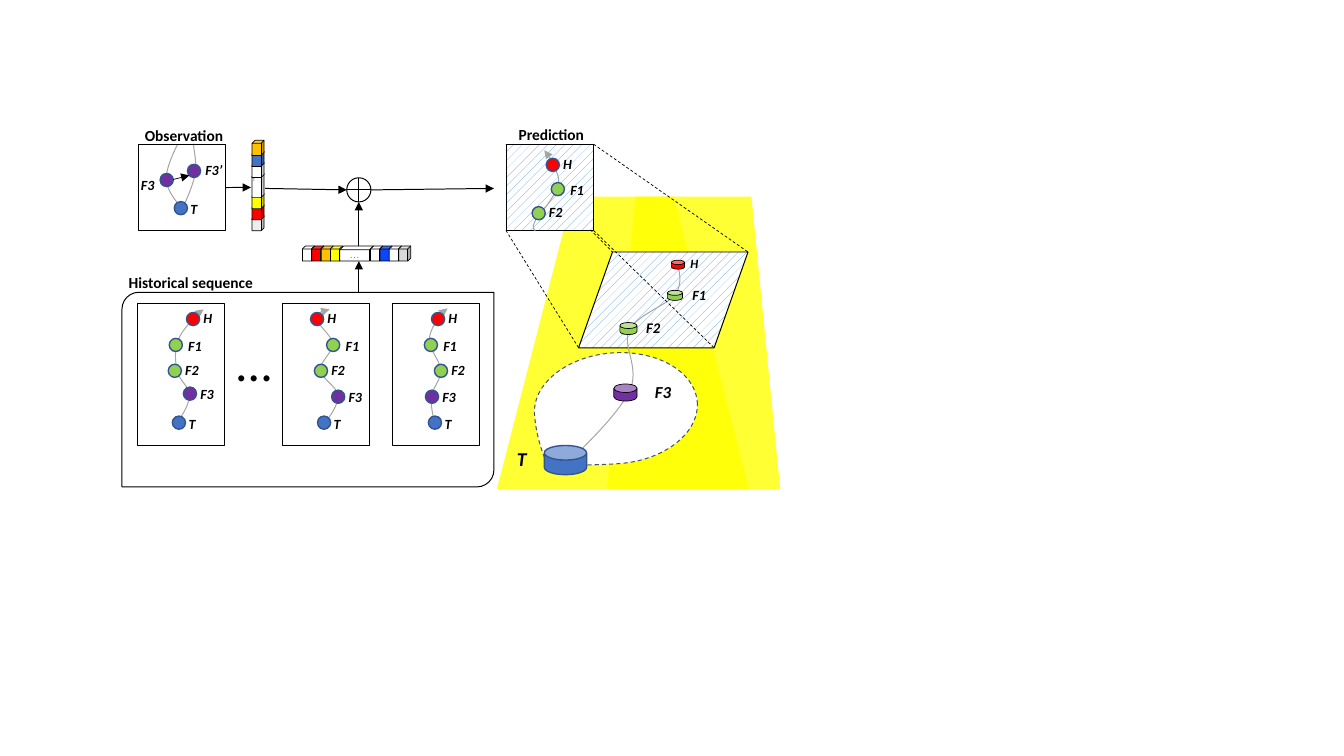
from dataclasses import dataclass
from typing import NamedTuple

from lxml.etree import SubElement
from pptx import Presentation
from pptx.dml.color import RGBColor
from pptx.enum.dml import MSO_LINE, MSO_PATTERN
from pptx.enum.shapes import MSO_CONNECTOR, MSO_SHAPE as Preset
from pptx.enum.text import MSO_ANCHOR, MSO_AUTO_SIZE, PP_ALIGN
from pptx.oxml.ns import qn
from pptx.util import Pt


@dataclass(frozen=True)
class Theme:
    font: str = "Calibri"
    black: str = "000000"
    white: str = "FFFFFF"
    gray: str = "A5A5A5"
    hatch: str = "5B9BD5"
    road: str = "FFFF00"
    slate: str = "44546A"
    node_line: str = "325491"
    blue: str = "4472C4"
    purple: str = "7030A0"
    green: str = "92D050"
    red: str = "FF0000"
    amber: str = "FFC000"
    label: float = 10
    title: float = 11
    ellipsis: float = 36
    cell: float = 5
    thin: float = 0.5
    line: float = 0.7


class Box(NamedTuple):
    left: float
    top: float
    width: float
    height: float

    def inner(self, x, y, width, height):
        return Box(self.left + x, self.top + y, width, height)

    def point(self, x, y):
        return self.left + x, self.top + y


THEME = Theme()
NODE = 9.4
NODE_COLORS = {"H": THEME.red, "F1": THEME.green, "F2": THEME.green,
               "F3": THEME.purple, "F3’": THEME.purple, "T": THEME.blue}
LABEL_OFFSETS = {"H": (5, -5.8), "F1": (6.5, -4.3), "F2": (5, -5.8),
                 "F3": (5, -5), "F3’": (5.7, -5.8), "T": (4.5, -4)}
LABEL_WIDTHS = {"H": 20.9, "T": 19.4, "F3’": 26.6}


def rgb(color):
    return RGBColor.from_string(color)


def style_line(shape, color, width, dashed=False, arrow=False):
    shape.line.color.rgb = rgb(color)
    shape.line.width = Pt(width)
    if dashed:
        shape.line.dash_style = MSO_LINE.DASH
    if arrow:
        outline = shape._element.spPr.find(qn("a:ln"))
        SubElement(outline, qn("a:tailEnd"), type="triangle")


def add_preset(shapes, preset, box, fill=None, line=None, width=THEME.thin,
               adjustments=(), dashed=False):
    shape = shapes.add_shape(preset, *map(Pt, box))
    shape.shadow.inherit = False
    for index, value in enumerate(adjustments):
        shape.adjustments[index] = value
    if fill:
        shape.fill.solid()
        shape.fill.fore_color.rgb = rgb(fill)
    else:
        shape.fill.background()
    if line:
        style_line(shape, line, width, dashed)
    else:
        shape.line.fill.background()
    return shape


def hatch(shape):
    shape.fill.patterned()
    shape.fill.pattern = MSO_PATTERN.DASHED_UPWARD_DIAGONAL
    shape.fill.fore_color.rgb = rgb(THEME.hatch)
    shape.fill.back_color.rgb = rgb(THEME.white)


def add_line(shapes, start, end, width=THEME.line, dashed=False, arrow=False):
    connector = shapes.add_connector(MSO_CONNECTOR.STRAIGHT, *map(Pt, start + end))
    style_line(connector, THEME.black, width, dashed, arrow)
    SubElement(connector._element.spPr, qn("a:effectLst"))
    return connector


def add_curve(shapes, box, points, arrow=False):
    start, *rest = [tuple(map(Pt, box.point(*point))) for point in points]
    builder = shapes.build_freeform(*start)
    builder.add_line_segments(rest, close=False)
    curve = builder.convert_to_shape()
    curve.shadow.inherit = False
    curve.fill.background()
    style_line(curve, THEME.gray, THEME.line, arrow=arrow)
    segments = list(curve._element.iter(qn("a:lnTo")))
    outline = segments[0].getparent()
    for index in range(0, len(segments), 3):
        bezier = SubElement(outline, qn("a:cubicBezTo"))
        for segment in segments[index:index + 3]:
            bezier.append(segment[0])
            outline.remove(segment)


def set_text(shape, text, size, bold=False, italic=False, align=PP_ALIGN.CENTER):
    paragraph = shape.text_frame.paragraphs[0]
    paragraph.text = text
    paragraph.alignment = align
    font = paragraph.font
    font.name, font.size, font.bold, font.italic = THEME.font, Pt(size), bold, italic
    font.color.rgb = rgb(THEME.black)


def add_text(shapes, box, text, size, **style):
    label = shapes.add_textbox(*map(Pt, box))
    label.text_frame.word_wrap = False
    label.text_frame.auto_size = MSO_AUTO_SIZE.SHAPE_TO_FIT_TEXT
    set_text(label, text, size, **style)


def add_label(shapes, box, text, size=THEME.label):
    add_text(shapes, box, text, size, bold=True, italic=True, align=PP_ALIGN.LEFT)


def add_node(shapes, box, name, x, y, label_offset=None):
    add_preset(shapes, Preset.FLOWCHART_CONNECTOR, box.inner(x, y, NODE, NODE),
               NODE_COLORS[name], THEME.node_line, 1)
    dx, dy = label_offset or LABEL_OFFSETS[name]
    add_label(shapes, box.inner(x + dx, y + dy, LABEL_WIDTHS.get(name, 24.5), 19.4), name)


def draw_road(shapes, box):
    for x, width, slope in ((78.5, 123.8, 0.166), (0, 180, 0.299)):
        road = add_preset(shapes, Preset.TRAPEZOID, box.inner(x, 0, width, box.height),
                          THEME.road, adjustments=[slope])
        color = next(road._element.spPr.iter(qn("a:srgbClr")))
        SubElement(color, qn("a:alpha"), val="80000")
    clearing = add_preset(shapes, Preset.TEAR, box.inner(26.6, 111.6, 116.6, 79.2),
                          THEME.white, THEME.slate, 0, [0.895], dashed=True)
    clearing.rotation = 175.6
    window = box.inner(58.3, 39.6, 121, 68.4)
    hatch(add_preset(shapes, Preset.FLOWCHART_DATA, window, line=THEME.black, width=THEME.line))
    add_curve(shapes, box, [
        (43.9, 196.6), (64.8, 176.4), (85.7, 156.2), (94.3, 139.7), (103, 123.1),
        (89.3, 107.3), (94.3, 95.8), (100.1, 84.2), (121.7, 77.8), (127.4, 69.8),
        (133.2, 61.9), (129.6, 53.3), (129.6, 48.2)])
    for name, can, label, size in (
            ("T", (33.8, 177.8, 30.2, 20.9), (7.2, 175, 21.6, 24.5), 14),
            ("F3", (83.5, 133.9, 16.6, 12.2), (105.8, 128.9, 25.9, 21.6), 12),
            ("F2", (87.8, 90, 12.2, 8.6), (99.4, 83.5, 25.2, 20.9), 10.5),
            ("F1", (121.7, 67, 10.8, 7.2), (132.5, 60.5, 24.5, 19.4), 10),
            ("H", (124.6, 45.4, 9.4, 6.5), (131, 38.9, 20.2, 18), 9)):
        line, width = (THEME.node_line, 1) if name == "T" else (THEME.black, THEME.thin)
        add_preset(shapes, Preset.CAN, box.inner(*can), NODE_COLORS[name], line, width, [0.5])
        add_label(shapes, box.inner(*label), name, size)
    return window


def draw_projection(shapes, source, target):
    slant = target.width / 5
    for x, y, shift in ((0, 0, slant), (1, 0, 0), (0, 1, 0), (1, 1, -slant)):
        add_line(shapes, source.point(x * source.width, y * source.height),
                 target.point(x * target.width + shift, y * target.height),
                 THEME.thin, dashed=True)


def draw_observation(shapes, box):
    add_text(shapes, box.inner(-2.8, -16.6, 71.3, 20.9), "Observation", THEME.title, bold=True)
    group = shapes.add_group_shape().shapes
    add_curve(group, box, [(31.7, 46.1), (36, 36.7), (39.6, 28.1), (41, 20.2),
                           (42.5, 13), (38.2, -2.2), (40.3, 0)])
    add_curve(group, box, [(31.7, 46.1), (25.9, 39.6), (20.9, 33.1), (20.2, 25.2),
                           (19.4, 18), (27.4, 1.4), (28.1, 0.7)])
    frame = add_preset(group, Preset.RECTANGLE, box, line=THEME.black)
    add_node(group, box, "T", 25.9, 41)
    add_node(group, box, "F3", 15.8, 20.9, (-20.8, -1.5))
    add_node(group, box, "F3’", 35.3, 14.4)
    add_line(group, box.point(25.2, 25.2), box.point(36.7, 22.3), THEME.thin, arrow=True)
    return frame


def draw_prediction(shapes, box):
    add_text(shapes, box.inner(1.5, -17.3, 61.9, 20.9), "Prediction", THEME.title, bold=True)
    hatch(add_preset(shapes, Preset.RECTANGLE, box, line=THEME.black))
    add_curve(shapes, box, [
        (24.5, 49.7), (30.2, 42.5), (36, 35.3), (37.4, 28.8), (38.9, 23), (34.6, 16.6),
        (32.4, 12.2), (31, 8.6), (29.5, 6.5), (27.4, 4.3)], arrow=True)
    add_curve(shapes, box, [(23, 49.7), (21.6, 53.3), (20.2, 56.2), (19.4, 58.3),
                            (19.4, 59.8), (20.2, 61.2), (20.9, 61.9)])
    for name, x, y in (("H", 28.8, 10.1), ("F1", 32.4, 27.4), ("F2", 18.7, 44.6)):
        add_node(shapes, box, name, x, y)


def draw_sequence_panel(shapes, box, node_lefts, f3_top, curve):
    group = shapes.add_group_shape().shapes
    add_curve(group, box, curve, arrow=True)
    add_preset(group, Preset.RECTANGLE, box, line=THEME.black)
    for row, (name, x) in enumerate(zip(("H", "F1", "F2", "F3", "T"), node_lefts)):
        add_node(group, box, name, x, f3_top if name == "F3" else 6.5 + 18.5 * row)


def draw_history(shapes, box):
    add_preset(shapes, Preset.ROUND_2_DIAG_RECTANGLE, box, THEME.white, THEME.black,
               THEME.line, [0.087, 0])
    add_text(shapes, box.inner(-2.9, -17.3, 104.4, 20.9), "Historical sequence",
             THEME.title, bold=True)
    add_text(shapes, box.inner(74.9, 23.8, 39.6, 51.1), "…", THEME.ellipsis,
             align=PP_ALIGN.LEFT)
    for left, node_lefts, f3_top, curve in (
            (10.8, (35.3, 23, 22.3, 33.1, 25.2), 59.8, [
                (28.8, 85), (33.1, 78.5), (37.4, 72), (37.4, 65.5), (37.4, 59.8), (30.2, 54.7),
                (28.8, 49), (27.4, 42.5), (26.6, 34.6), (28.8, 28.1), (30.2, 21.6),
                (36.7, 15.1), (40.3, 10.8), (43.2, 6.5), (45.4, 5.8), (47.5, 4.3)]),
            (114.5, (20.2, 31.7, 23, 35.3, 25.2), 62, [
                (30.2, 85.7), (35.3, 79.2), (40.3, 72), (39.6, 65.5), (39.6, 59.8), (28.1, 54),
                (27.4, 47.5), (26.6, 41.8), (36.7, 34.6), (36, 28.8), (35.3, 22.3),
                (24.5, 15.1), (24.5, 10.8), (23.8, 7.2), (32.4, 3.6), (33.8, 4.3)]),
            (193, (28.1, 23, 30.2, 23.8, 25.9), 62, [
                (30.2, 85), (28.8, 78.5), (27.4, 72), (28.1, 65.5), (29.5, 59.8), (35.3, 54),
                (34.6, 47.5), (34.6, 41.8), (27.4, 33.8), (26.6, 28.1), (25.9, 21.6),
                (30.2, 15.1), (32.4, 10.8), (34.6, 7.2), (36.7, 5), (39.6, 3.6)])):
        draw_sequence_panel(shapes, box.inner(left, 7.9, 62.6, 101.5), node_lefts, f3_top, curve)


def draw_feature_vector(shapes, box, colors, gap_index, gap_text, gap_size, vertical=False):
    group = shapes.add_group_shape().shapes
    offset = box.height if vertical else 0
    for index, color in enumerate(colors):
        gap = index == gap_index
        if vertical:
            height = gap_size if gap else 10.8
            cell_box = box.inner(0, offset - height, box.width, height)
            offset -= height - 2.9
        else:
            width = gap_size if gap else 8.6
            cell_box = box.inner(offset, 0, width, box.height)
            offset += width - 1.9
        cell = add_preset(group, Preset.CUBE, cell_box, color, THEME.black)
        if gap:
            frame = cell.text_frame
            frame.margin_left = frame.margin_right = frame.margin_top = frame.margin_bottom = 0
            frame.vertical_anchor = MSO_ANCHOR.MIDDLE
            if vertical:
                frame._txBody.bodyPr.set("vert", "eaVert")
            set_text(cell, gap_text, THEME.cell)


def draw_fusion(shapes, box, observation_frame):
    to_vector = add_line(shapes, (161.3, 133.9), (179.3, 133.9), arrow=True)
    to_vector.begin_connect(observation_frame, 3)
    middle_x, middle_y = box.point(box.width / 2, box.height / 2)
    for start, end in (
            ((189.4, 134.6), (box.left, middle_y)),
            ((box.left + box.width, middle_y), (352.8, 134.6)),
            ((middle_x, 208.8), (middle_x, 186.5)),
            ((middle_x, 175.7), (middle_x, box.top + box.height))):
        add_line(shapes, start, end, arrow=True)
    add_preset(shapes, Preset.FLOWCHART_OR, box, THEME.white, THEME.black, THEME.line)


def main():
    presentation = Presentation()
    presentation.slide_width, presentation.slide_height = Pt(960), Pt(540)
    shapes = presentation.slides.add_slide(presentation.slide_layouts[6]).shapes
    prediction = Box(361.4, 103, 62.6, 61.6)
    window = draw_road(shapes, Box(355, 140.4, 202.3, 208.8))
    draw_projection(shapes, prediction, window)
    draw_prediction(shapes, prediction)
    observation_frame = draw_observation(shapes, Box(98.6, 103, 62.6, 61.9))
    draw_history(shapes, Box(87.1, 208.8, 265.7, 139))
    draw_feature_vector(shapes, Box(216, 175.7, 77.8, 10.8), (
        THEME.white, THEME.red, THEME.amber, THEME.road, THEME.white,
        THEME.white, "0B45FD", THEME.white, "D9D9D9"), 4, ". . .", 23.8)
    draw_feature_vector(shapes, Box(180, 100.1, 8.6, 64.8), (
        "EDEDED", THEME.red, THEME.road, THEME.white, THEME.white,
        THEME.blue, THEME.amber), 3, "…", 17.3, vertical=True)
    draw_fusion(shapes, Box(247.7, 127, 17.3, 17.3), observation_frame)
    presentation.save("out.pptx")


if __name__ == "__main__":
    main()
